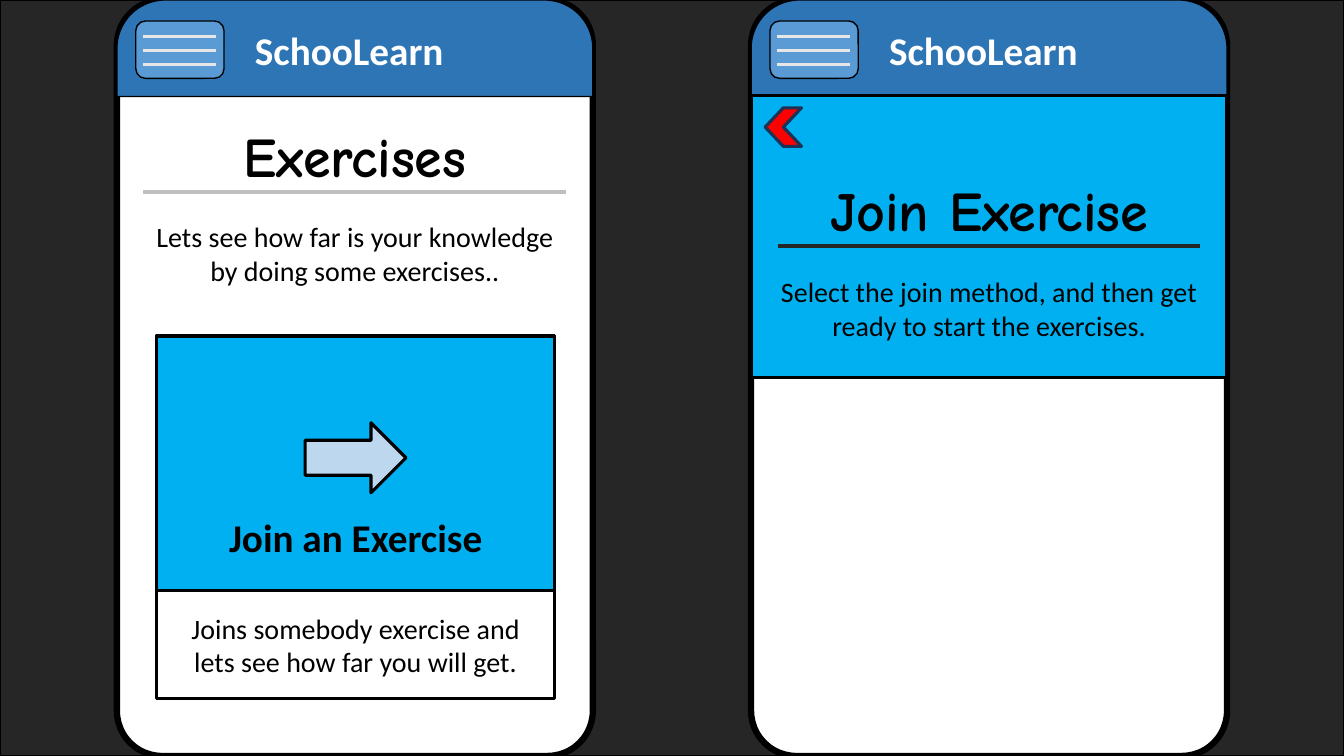
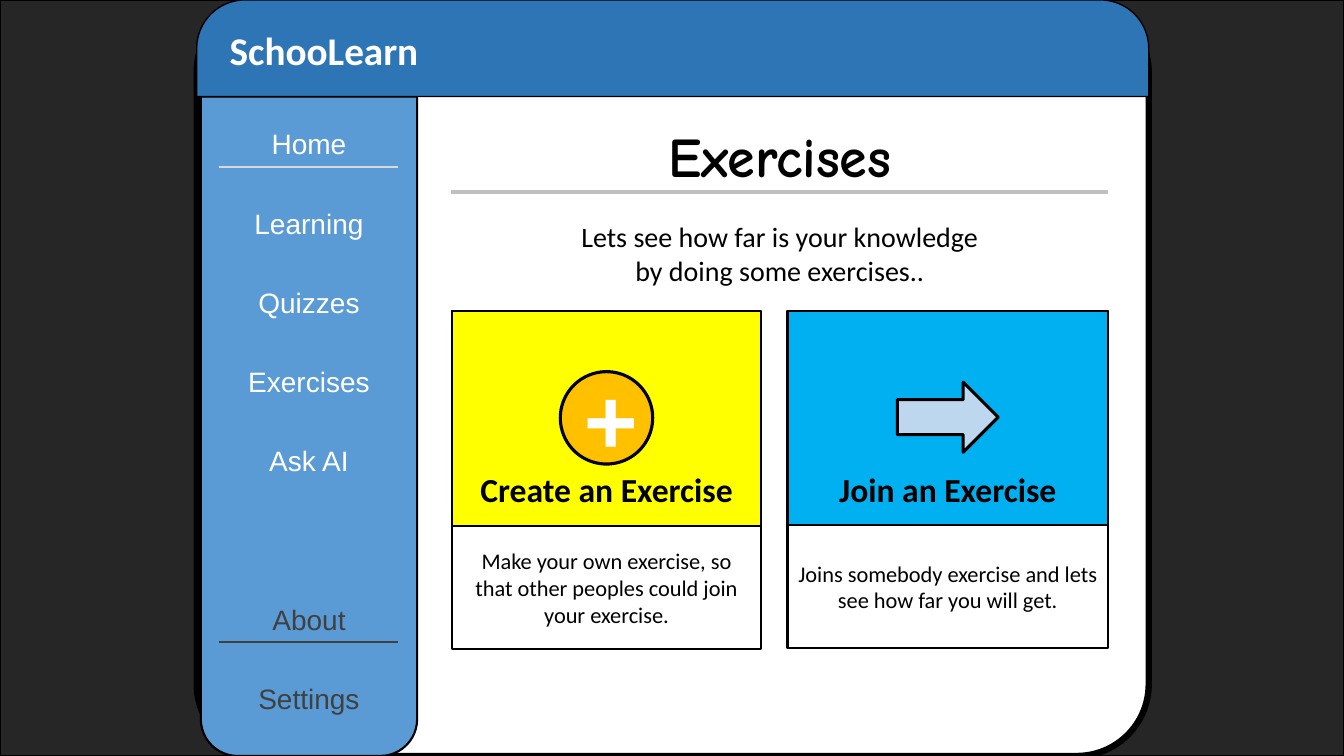
"""Build two app mock-up slides: a pair of phone screens and a tablet screen."""
from dataclasses import dataclass

from lxml import etree
from pptx import Presentation
from pptx.dml.color import RGBColor
from pptx.enum.shapes import MSO_CONNECTOR, MSO_SHAPE
from pptx.enum.text import MSO_ANCHOR, MSO_AUTO_SIZE, PP_ALIGN
from pptx.oxml.ns import qn
from pptx.util import Pt

RECT, ROUND = MSO_SHAPE.RECTANGLE, MSO_SHAPE.ROUNDED_RECTANGLE
TOP_ROUND, OVAL = MSO_SHAPE.ROUND_2_SAME_RECTANGLE, MSO_SHAPE.OVAL
ARROW, CHEVRON = MSO_SHAPE.RIGHT_ARROW, MSO_SHAPE.CHEVRON
STRAIGHT = MSO_CONNECTOR.STRAIGHT
TOP, MIDDLE, BOTTOM = MSO_ANCHOR.TOP, MSO_ANCHOR.MIDDLE, MSO_ANCHOR.BOTTOM
LEFT, CENTER = PP_ALIGN.LEFT, PP_ALIGN.CENTER
NO_RESIZE = MSO_AUTO_SIZE.NONE
WIDE, HIGH, BAND = 960, 540, 69
TITLE_ONLY = 5


@dataclass(frozen=True)
class Theme:
    """Colours, fonts and type sizes shared by the slides."""
    black: str = "000000"
    white: str = "FFFFFF"
    backdrop: str = "262626"
    band: str = "2E75B6"
    panel: str = "5B9BD5"
    stripe: str = "E7E6E6"
    rule: str = "BFBFBF"
    menu_rule: str = "D9D9D9"
    muted: str = "404040"
    join: str = "00B0F0"
    create: str = "FFFF00"
    arrow: str = "BDD7EE"
    plus: str = "FFC000"
    back: str = "FF0000"
    back_line: str = "1E3256"
    title_font: str = "Comic Neue"
    body_font: str = "Calibri"
    menu_font: str = "Arial"
    plus_font: str = "Courier New"
    title_size: int = 40
    brand_size: int = 28
    body_size: int = 20
    plus_size: int = 66


THEME = Theme()
BRAND = "SchooLearn"
EXERCISES = ("Exercises", ["Lets see how far is your knowledge", "by doing some exercises.."])
JOIN = ("Join Exercise", ["Select the join method, and then get ready to start the exercises."])
JOIN_CARD = {
    "title": "Join an Exercise",
    "note": "Joins somebody exercise and lets see how far you will get.",
    "fill": THEME.join,
    "icon": "arrow",
}
CREATE_CARD = {
    "title": "Create an Exercise",
    "note": "Make your own exercise, so that other peoples could join your exercise.",
    "fill": THEME.create,
    "icon": "plus",
}
PHONE_CARD_STYLE = {"head": 182, "line": 2.25, "title_size": 28, "note_size": 20,
                    "gap": 18, "icon_y": 87, "pad": 10}
TABLET_CARD_STYLE = {"head": 153, "line": 1.5, "title_size": 24, "note_size": 16,
                     "gap": 8, "icon_y": 76, "pad": 7}
MENU = [
    (0, "Home", THEME.white, THEME.menu_rule),
    (1, "Learning", THEME.white, None),
    (2, "Quizzes", THEME.white, None),
    (3, "Exercises", THEME.white, None),
    (4, "Ask AI", THEME.white, None),
    (6, "About", THEME.muted, THEME.muted),
    (7, "Settings", THEME.muted, None),
]


def color(value):
    """Turn a hex string into a colour."""
    return RGBColor.from_string(value)


def add_shape(page, kind, area, fill, weight=1, line=THEME.black, corners=()):
    """Add a preset shape; a fill of None leaves it open."""
    shape = page.shapes.add_shape(kind, *map(Pt, area))
    shape.shadow.inherit = False
    if fill:
        shape.fill.solid()
        shape.fill.fore_color.rgb = color(fill)
    else:
        shape.fill.background()
    shape.line.color.rgb = color(line)
    shape.line.width = Pt(weight)
    for index, value in enumerate(corners):
        shape.adjustments[index] = value
    return shape


def add_rule(page, left, top, width, shade, weight):
    """Add a horizontal line."""
    rule = page.shapes.add_connector(STRAIGHT, Pt(left), Pt(top), Pt(left + width), Pt(top))
    rule.line.color.rgb = color(shade)
    rule.line.width = Pt(weight)
    etree.SubElement(rule._element.spPr, qn("a:effectLst"))


def write(box, lines, size, font=THEME.body_font, shade=THEME.black, bold=False,
          align=CENTER, anchor=TOP, pad=7.2):
    """Fill a box with one paragraph per line."""
    frame = box.text_frame
    frame.word_wrap = True
    frame.auto_size = NO_RESIZE
    frame.vertical_anchor = anchor
    frame.margin_left = frame.margin_right = Pt(pad)
    frame.margin_top = frame.margin_bottom = Pt(3.6)
    for index, line in enumerate(lines):
        para = frame.add_paragraph() if index else frame.paragraphs[0]
        para.alignment = align
        para.line_spacing = 1.0
        para.space_before = Pt(0)
        span = para.add_run()
        span.text = line
        span.font.size = Pt(size)
        span.font.name = font
        span.font.bold = bold
        span.font.color.rgb = color(shade)


def add_text(page, area, lines, size, **style):
    """Add a text box."""
    write(page.shapes.add_textbox(*map(Pt, area)), lines, size, **style)


def add_page(deck):
    """Add a title-only slide with the dark backdrop."""
    page = deck.slides.add_slide(deck.slide_layouts[TITLE_ONLY])
    add_shape(page, RECT, (0, 0, WIDE, HIGH), THEME.backdrop)
    return page


def add_screen(page, left, width):
    """Add the rounded body of a device."""
    add_shape(page, ROUND, (left, 0, width, HIGH), THEME.white, 4.5, corners=[0.095])


def add_band(page, left, width, brand_left):
    """Add the top band and the brand name."""
    add_shape(page, TOP_ROUND, (left, 0, width, BAND), THEME.band, corners=[0.5, 0])
    add_text(page, (brand_left, 15, 248, 41), [BRAND], THEME.brand_size,
             shade=THEME.white, bold=True, align=LEFT)


def add_phone(page, left, width):
    """Add a phone with its band and menu button."""
    add_screen(page, left, width)
    add_band(page, left, width, left + 91.5)
    add_shape(page, ROUND, (left + 13.5, 15, 63, 41), THEME.panel)
    for row in range(3):
        add_rule(page, left + 18.5, 26 + 10 * row, 52, THEME.stripe, 2.25)


def add_heading(page, content, left, top, width, inset, shade=THEME.rule, main=True):
    """Add a title, its rule and the introduction below."""
    title, intro = content
    area = [Pt(value) for value in (left, top, width, 55.5)]
    if main:
        box = page.shapes.title
        box.left, box.top, box.width, box.height = area
        page.shapes._spTree.append(box._element)
    else:
        box = page.shapes.add_textbox(*area)
    write(box, [title], THEME.title_size, font=THEME.title_font, bold=True)
    add_rule(page, left + inset, top + 54, width - 2 * inset, shade, 3)
    add_text(page, (left, top + 70.5, width, 55.5), intro, THEME.body_size)


def add_icon(page, kind, middle_x, middle_y):
    """Add an arrow or a plus sign around a centre point."""
    if kind == "arrow":
        add_shape(page, ARROW, (middle_x - 36, middle_y - 25, 72, 50), THEME.arrow, 2.25)
    else:
        disc = add_shape(page, OVAL, (middle_x - 33, middle_y - 33, 66, 66), THEME.plus, 2.25)
        write(disc, ["+"], THEME.plus_size, font=THEME.plus_font, shade=THEME.white,
              bold=True, anchor=MIDDLE)


def add_card(page, content, style, left, top, width, height):
    """Add a card with a coloured head and a note."""
    head = style["head"]
    add_shape(page, RECT, (left, top, width, head), content["fill"], style["line"])
    add_shape(page, RECT, (left, top, width, height), None, style["line"])
    add_icon(page, content["icon"], left + width / 2, top + style["icon_y"])
    add_text(page, (left, top, width, head - style["gap"]), [content["title"]],
             style["title_size"], bold=True, anchor=BOTTOM)
    add_text(page, (left, top + head, width, height - head), [content["note"]],
             style["note_size"], anchor=MIDDLE, pad=style["pad"])


def add_menu(page, left, width):
    """Add the side menu on an even grid of slots."""
    add_shape(page, TOP_ROUND, (left, BAND, width, HIGH - BAND), THEME.panel, 1.5,
              corners=[0, 0.17])
    for slot, label, shade, rule in MENU:
        top = 87 + 56.6 * slot
        add_text(page, (left, top, width, 32), [label], THEME.body_size,
                 font=THEME.menu_font, shade=shade)
        if rule:
            add_rule(page, left + 13, top + 32, 128, rule, 1.5)


def build_phones(deck):
    """Build the slide with two phone screens."""
    page = add_page(deck)
    first, second, width = 83.5, 536.5, 340
    add_phone(page, first, width)
    add_heading(page, EXERCISES, first, 83, width, 19)
    add_card(page, JOIN_CARD, PHONE_CARD_STYLE, 112, 240, 284, 259)
    add_phone(page, second, width)
    add_shape(page, RECT, (second, 68.5, width, 201.5), THEME.join, 2.25)
    back = add_shape(page, CHEVRON, (546.5, 77, 26, 27.5), THEME.back, 2.25, THEME.back_line)
    back.rotation = 180
    add_heading(page, JOIN, second, 122, width, 19, THEME.backdrop, main=False)


def build_tablet(deck):
    """Build the slide with the tablet screen."""
    page = add_page(deck)
    left, width = 140.5, 680
    add_screen(page, left, width)
    add_menu(page, 143.5, 154.5)
    add_band(page, left, width, 157)
    add_heading(page, EXERCISES, 297.5, 83, 519, 25)
    add_card(page, CREATE_CARD, TABLET_CARD_STYLE, 323, 222.5, 220.5, 241)
    add_card(page, JOIN_CARD, TABLET_CARD_STYLE, 562.5, 222, 229, 241)


def main():
    """Create the deck and save it."""
    deck = Presentation()
    deck.slide_width, deck.slide_height = Pt(WIDE), Pt(HIGH)
    build_phones(deck)
    build_tablet(deck)
    deck.save("out.pptx")


if __name__ == "__main__":
    main()
